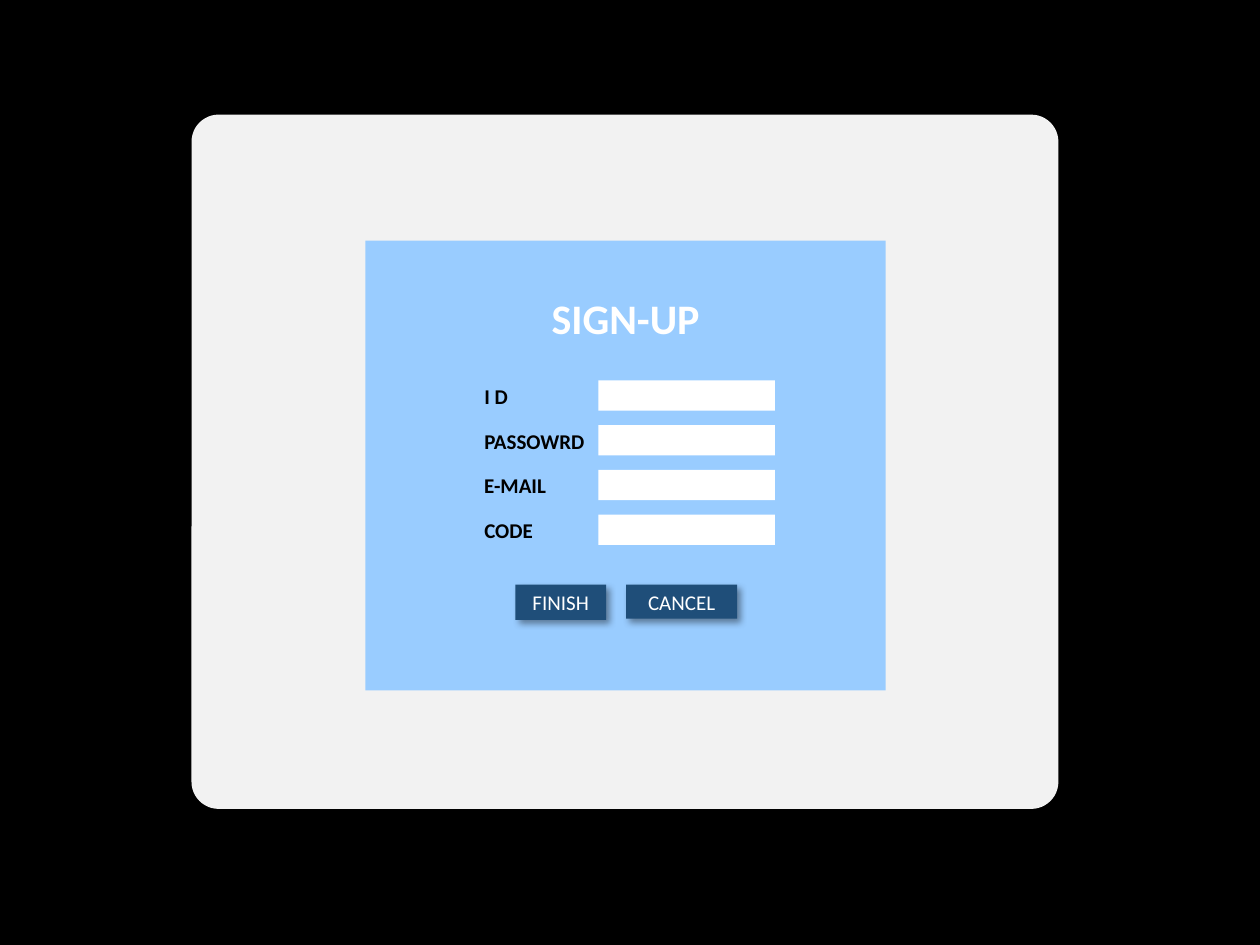
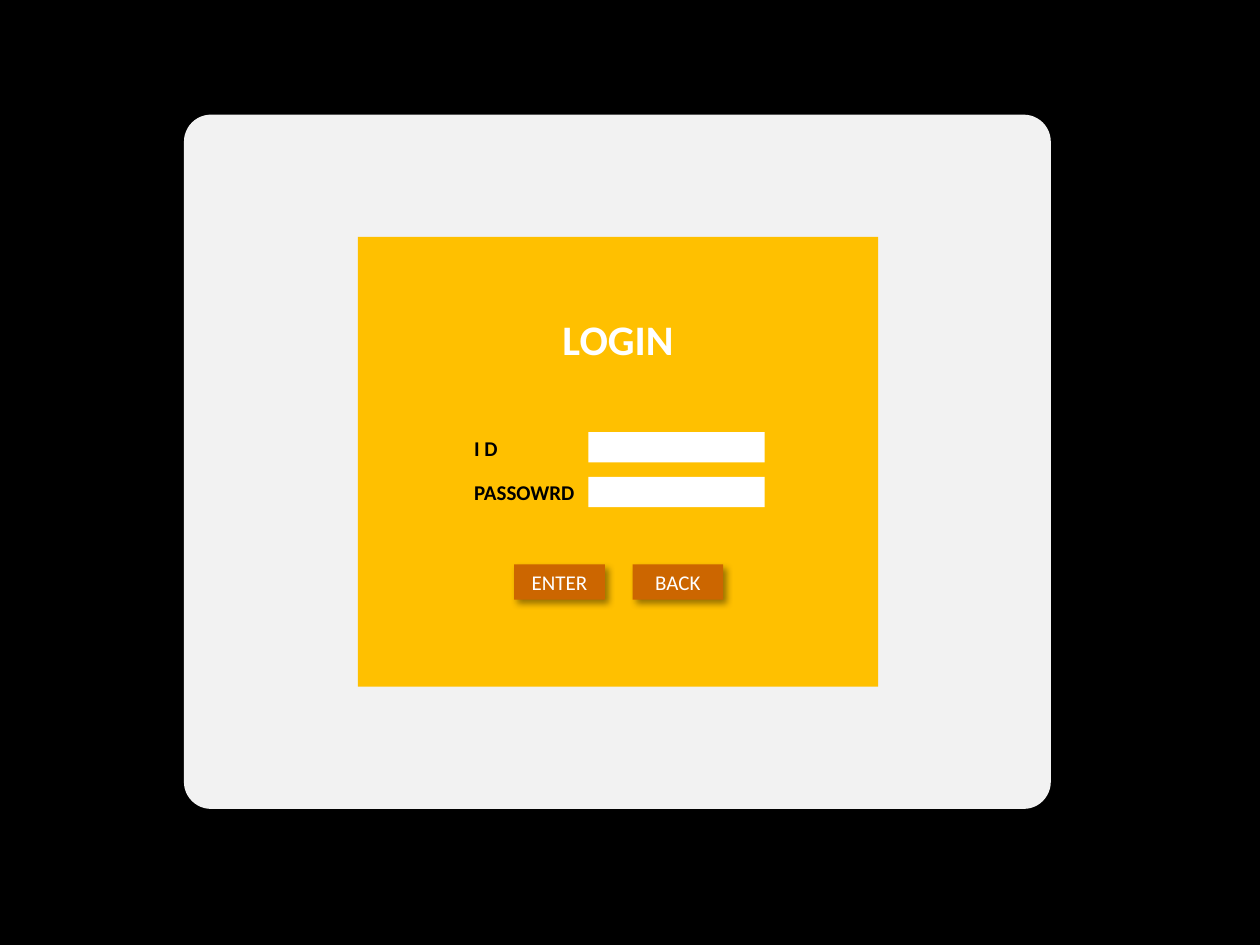
from dataclasses import dataclass

from lxml.etree import SubElement
from pptx import Presentation
from pptx.dml.color import RGBColor
from pptx.enum.shapes import MSO_SHAPE as Preset
from pptx.enum.text import MSO_ANCHOR as Anchor, MSO_AUTO_SIZE as AutoSize, PP_ALIGN as Align
from pptx.oxml.ns import qn
from pptx.util import Inches, Pt


@dataclass(frozen=True)
class Theme:
    """Colours, type sizes and repeated measures in grid units."""
    font: str = "Calibri"
    backdrop: str = "000000"
    card: str = "F2F2F2"
    light: str = "FFFFFF"
    dark: str = "000000"
    title_size: int = 24
    text_size: int = 12
    columns: int = 100
    rows: int = 75
    card_box: tuple = (68.8, 55.1)
    panel_box: tuple = (41.3, 35.7)
    field_box: tuple = (14, 2.4)
    field_pitch: float = 3.55
    label_height: float = 3
    label_shift: tuple = (10.05, 0.25)


@dataclass(frozen=True)
class Dialog:
    """Content, colours and grid places of one dialog slide."""
    title: str
    panel_color: str
    button_color: str
    card_at: tuple
    panel_at: tuple
    title_drop: float
    fields_at: tuple
    labels: tuple
    buttons: tuple


THEME = Theme()
ID = ("I D", 3.9)
PASSWORD = ("PASSOWRD", 10.1)

SIGN_UP = Dialog(
    "SIGN-UP", "99CCFF", "1F4E79", (15.2, 9.1), (29, 19.1), 4.1, (47.5, 30.2),
    (ID, PASSWORD, ("E-MAIL", 7), ("CODE", 5.9)),
    (("FINISH", (40.9, 46.4, 7.2, 2.8)), ("CANCEL", (49.7, 46.4, 8.8, 2.7))))
LOGIN = Dialog(
    "LOGIN", "FFC000", "CC6600", (14.6, 9.1), (28.4, 18.8), 6.1, (46.7, 34.3),
    (ID, PASSWORD),
    (("ENTER", (40.8, 44.8, 7.2, 2.8)), ("BACK", (50.2, 44.8, 7.2, 2.8))))


def grid(units):
    """Convert grid units, a tenth of an inch each, to a length."""
    return Inches(units / 10)


def paint(target, color):
    """Give a shape or background a solid fill."""
    target.fill.solid()
    target.fill.fore_color.rgb = RGBColor.from_string(color)


def write(holder, text, size, color, bold=False, align=Align.LEFT):
    """Put one styled paragraph in a shape."""
    holder.text_frame.text = text
    paragraph = holder.text_frame.paragraphs[0]
    paragraph.alignment = align
    paragraph.font.name = THEME.font
    paragraph.font.size = Pt(size)
    paragraph.font.bold = bold
    paragraph.font.color.rgb = RGBColor.from_string(color)


def add_block(shapes, preset, box, color):
    """Add a flat filled shape without an outline."""
    block = shapes.add_shape(preset, *map(grid, box))
    block.shadow.inherit = False
    paint(block, color)
    block.line.fill.background()
    return block


def cast_shadow(block, degrees):
    """Add a soft black outer shadow in the given direction."""
    effects = block._element.spPr.find(qn("a:effectLst"))
    shadow = SubElement(effects, qn("a:outerShdw"), blurRad=str(Pt(4)), dist=str(Pt(3)),
                        dir=str(degrees * 60000), algn="tl", rotWithShape="0")
    tint = SubElement(shadow, qn("a:srgbClr"), val=THEME.dark)
    SubElement(tint, qn("a:alpha"), val="40000")


def add_card(slide, dialog):
    """Add the rounded card behind the dialog."""
    card = add_block(slide.shapes, Preset.ROUNDED_RECTANGLE,
                     dialog.card_at + THEME.card_box, THEME.card)
    card.adjustments[0] = 0.039
    cast_shadow(card, 90)


def add_titled_panel(slide, dialog):
    """Turn the title placeholder into the coloured panel above the card."""
    panel = slide.shapes.title
    panel.left, panel.top, panel.width, panel.height = map(
        grid, dialog.panel_at + THEME.panel_box)
    paint(panel, dialog.panel_color)
    write(panel, dialog.title, THEME.title_size, THEME.light, True, Align.CENTER)
    frame = panel.text_frame
    frame.auto_size = AutoSize.NONE
    frame.vertical_anchor = Anchor.TOP
    frame.margin_top = grid(dialog.title_drop)
    slide.shapes._spTree.append(panel._element)


def add_form(slide, dialog):
    """Add the input fields and their labels, row by row."""
    fields = slide.shapes.add_group_shape().shapes
    labels = slide.shapes.add_group_shape().shapes
    left, first_top = dialog.fields_at
    indent, rise = THEME.label_shift
    for row, (caption, width) in enumerate(dialog.labels):
        top = first_top + row * THEME.field_pitch
        add_block(fields, Preset.RECTANGLE, (left, top) + THEME.field_box, THEME.light)
        label = labels.add_textbox(
            *map(grid, (left - indent, top - rise, width, THEME.label_height)))
        write(label, caption, THEME.text_size, THEME.dark, bold=True)
        label.text_frame.word_wrap = False
        label.text_frame.auto_size = AutoSize.SHAPE_TO_FIT_TEXT


def add_buttons(slide, dialog):
    """Add the shadowed buttons below the form."""
    buttons = slide.shapes.add_group_shape().shapes
    for caption, box in dialog.buttons:
        button = add_block(buttons, Preset.RECTANGLE, box, dialog.button_color)
        cast_shadow(button, 45)
        write(button, caption, THEME.text_size, THEME.light, align=Align.CENTER)
        button.text_frame.vertical_anchor = Anchor.MIDDLE


def add_dialog(deck, dialog):
    """Build one dialog slide."""
    slide = deck.slides.add_slide(deck.slide_layouts.get_by_name("Title Only"))
    add_card(slide, dialog)
    add_titled_panel(slide, dialog)
    add_form(slide, dialog)
    add_buttons(slide, dialog)


def main():
    """Build and save the deck."""
    deck = Presentation()
    deck.slide_width, deck.slide_height = grid(THEME.columns), grid(THEME.rows)
    paint(deck.slide_master.background, THEME.backdrop)
    for dialog in (SIGN_UP, LOGIN):
        add_dialog(deck, dialog)
    deck.save("out.pptx")


main()
